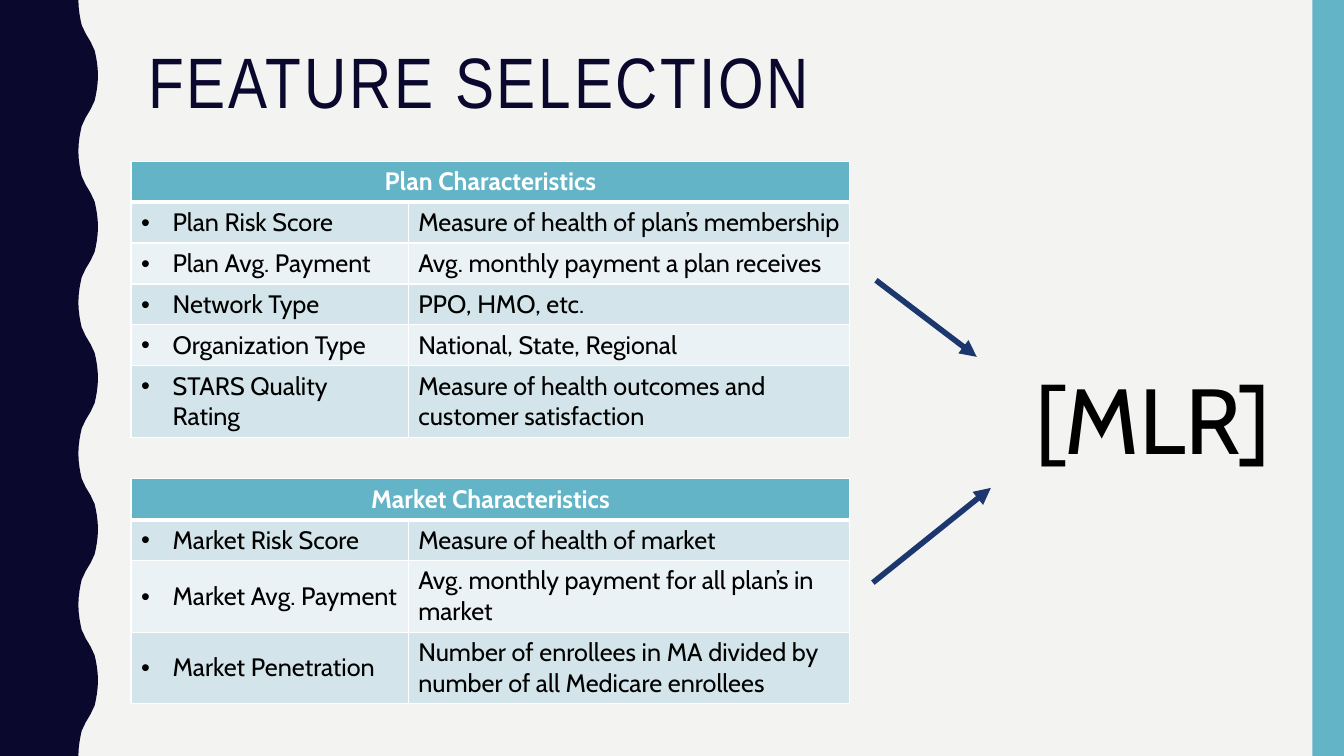
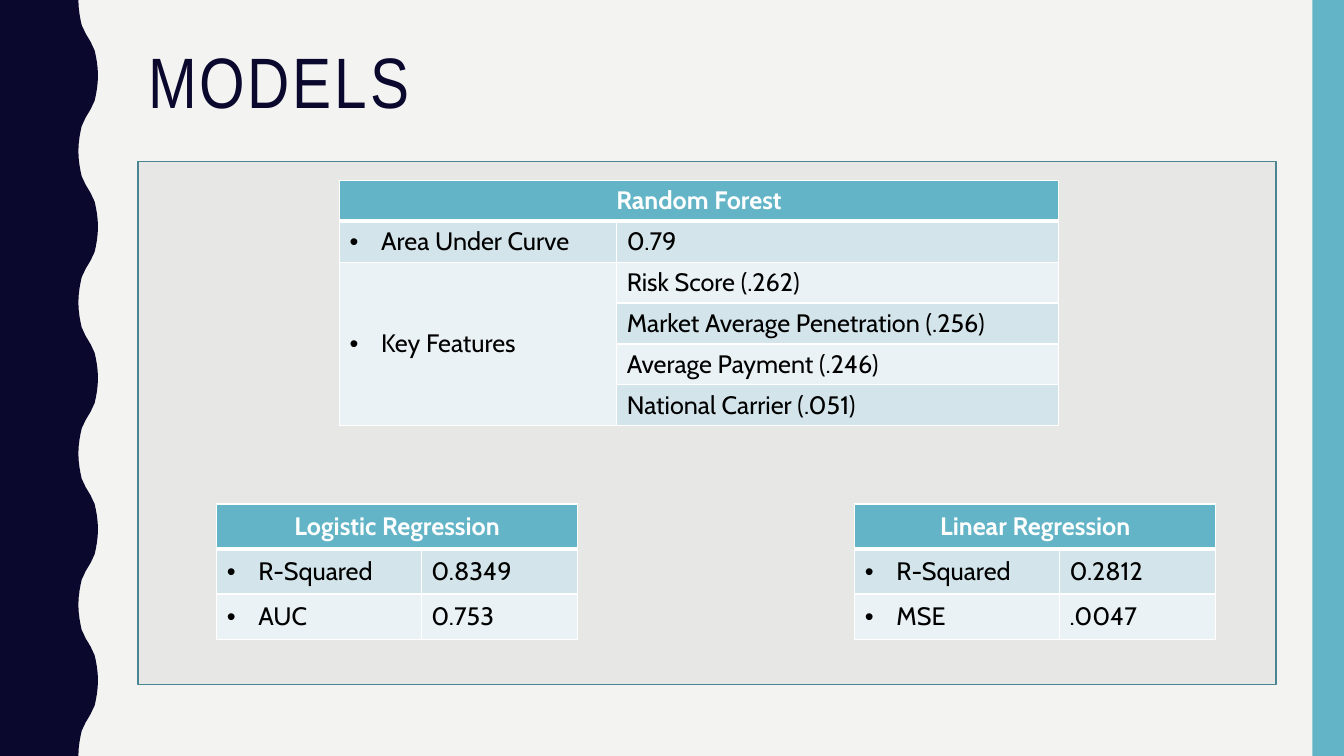
from dataclasses import dataclass

from lxml import etree
from pptx import Presentation
from pptx.dml.color import RGBColor
from pptx.enum.shapes import MSO_CONNECTOR, MSO_SHAPE
from pptx.enum.text import MSO_ANCHOR, MSO_AUTO_SIZE, PP_ALIGN
from pptx.oxml.ns import qn
from pptx.util import Pt


@dataclass(frozen=True)
class Theme:
    paper: RGBColor = RGBColor(0xF3, 0xF3, 0xF2)
    navy: RGBColor = RGBColor(0x0B, 0x08, 0x2E)
    teal: RGBColor = RGBColor(0x62, 0xB4, 0xC6)
    teal_edge: RGBColor = RGBColor(0x49, 0x85, 0x92)
    stripes: tuple = (RGBColor(0xD3, 0xE5, 0xEA), RGBColor(0xEA, 0xF2, 0xF5))
    panel: RGBColor = RGBColor(0xD9, 0xD9, 0xD9)
    arrow: RGBColor = RGBColor(0x1B, 0x37, 0x6E)
    white: RGBColor = RGBColor(0xFF, 0xFF, 0xFF)
    black: RGBColor = RGBColor(0, 0, 0)
    title_font: str = "Arial Narrow"
    body_font: str = "Cabin"
    title_size: float = 51
    body_size: float = 18
    target_size: float = 66


THEME = Theme()
WIDTH, HEIGHT = 960, 540

# Content: a row whose first cell is None continues the label above it
PLAN = ("Plan Characteristics", [
    ("Plan Risk Score", "Measure of health of plan’s membership"),
    ("Plan Avg. Payment", "Avg. monthly payment a plan receives"),
    ("Network Type", "PPO, HMO, etc."),
    ("Organization Type", "National, State, Regional"),
    ("STARS Quality Rating", "Measure of health outcomes and customer satisfaction"),
])
MARKET = ("Market Characteristics", [
    ("Market Risk Score", "Measure of health of market"),
    ("Market Avg. Payment", "Avg. monthly payment for all plan’s in market"),
    ("Market Penetration",
     "Number of enrollees in MA divided by number of all Medicare enrollees"),
])
FOREST = ("Random Forest", [
    ("Area Under Curve", "0.79"),
    ("Key Features", "Risk Score (.262)"),
    (None, "Market Average Penetration (.256)"),
    (None, "Average Payment (.246)"),
    (None, "National Carrier (.051)"),
])
LOGISTIC = ("Logistic Regression", [("R-Squared", "0.8349"), ("AUC", "0.753")])
LINEAR = ("Linear Regression", [("R-Squared", "0.2812"), ("MSE", ".0047")])

# Table sizes: column widths and row height
WIDE = ((198, 315.4), 29.2)
SMALL = ((146.2, 111.6), 32.2)

# Each table: content, size, left, top
FEATURE_TABLES = [(PLAN, WIDE, 93.6, 115.2), (MARKET, WIDE, 93.6, 342)]
MODEL_TABLES = [(FOREST, WIDE, 242.6, 128.9), (LOGISTIC, SMALL, 154.8, 360),
                (LINEAR, SMALL, 610.6, 360)]
TARGET = ("[MLR]", (707.8, 254.9, 231.8, 87.1))
ARROWS = [((625.7, 200.2), (697.7, 254.9)), ((623.5, 416.2), (707.8, 348.5))]
PANEL = (98.6, 115.2, 812.9, 373.7)
TITLE = (98.6, 30.2, 801.4, 117.4)

# Wave edge: first quarter of one period as (down, across)
WAVE_PERIOD, WAVE_MIDDLE = 108, 63
WAVE_QUARTER = [(0, 56), (5, 56.2), (10, 56.8), (14.4, 57.6), (18, 58.4),
                (21, 59.8), (24, 61.2), (27, 63)]


def points(*lengths):
    return [Pt(length) for length in lengths]


def style(para, size, color, font=THEME.body_font, bold=False):
    for span in para.runs:
        span.font.size, span.font.name, span.font.bold = Pt(size), font, bold
        span.font.color.rgb = color


def paint(shape, color, edge=None):
    shape.shadow.inherit = False
    shape.fill.solid()
    shape.fill.fore_color.rgb = color
    if edge is None:
        shape.line.fill.background()
    else:
        shape.line.color.rgb = edge
        shape.line.width = Pt(1)


def wave_edge():
    """Points down the wave, each period mirrored from its first quarter."""
    half = WAVE_QUARTER + [(WAVE_PERIOD / 2 - y, 2 * WAVE_MIDDLE - x)
                           for y, x in WAVE_QUARTER[-2::-1]]
    period = half + [(WAVE_PERIOD - y, x) for y, x in half[-2::-1]]
    return [(x, start + y) for start in range(0, HEIGHT, WAVE_PERIOD)
            for y, x in period]


def add_bands(page, layout):
    """Draw the side bands, then move them to the shared layout."""
    outline = page.shapes.build_freeform(0, 0, 1.0)
    corners = wave_edge() + [(0, HEIGHT)]
    outline.add_line_segments([points(x, y) for x, y in corners], close=True)
    wave = outline.convert_to_shape()
    paint(wave, THEME.navy)
    strip = page.shapes.add_shape(MSO_SHAPE.RECTANGLE,
                                  *points(937.4, 0, WIDTH - 937.4, HEIGHT))
    paint(strip, THEME.teal)
    for band in (strip, wave):
        layout.shapes.element.insert(2, band.element)


def add_page(deck, layout, title):
    page = deck.slides.add_slide(layout)
    box = page.shapes.title
    box.left, box.top, box.width, box.height = points(*TITLE)
    frame = box.text_frame
    frame.text = title
    frame.word_wrap = True
    frame.auto_size = MSO_AUTO_SIZE.NONE
    frame.vertical_anchor = MSO_ANCHOR.TOP
    para = frame.paragraphs[0]
    para.alignment, para.line_spacing = PP_ALIGN.LEFT, 0.9
    style(para, THEME.title_size, THEME.navy, THEME.title_font)
    for span in para.runs:
        span.font.element.set("spc", "200") if hasattr(span.font, "element") \
            else span._r.get_or_add_rPr().set("spc", "200")
    return page


def add_bullet(para):
    props = para._p.get_or_add_pPr()
    props.set("marL", str(Pt(22.5)))
    props.set("indent", str(-Pt(22.5)))
    etree.SubElement(props, qn("a:buFont")).set("typeface", "Arial")
    etree.SubElement(props, qn("a:buChar")).set("char", "•")


def set_borders(cell, **widths):
    props = cell._tc.get_or_add_tcPr()
    for side in "LRTB":
        line = etree.SubElement(props, qn(f"a:ln{side}"))
        line.set("w", str(Pt(widths.get(side, 1))))
        fill = etree.SubElement(line, qn("a:solidFill"))
        etree.SubElement(fill, qn("a:srgbClr")).set("val", str(THEME.white))


def fill_cell(cell, row, column, text):
    header = row == 0
    set_borders(cell, **({"B": 3} if header else {"T": 3} if row == 1 else {}))
    cell.fill.solid()
    cell.fill.fore_color.rgb = THEME.teal if header else THEME.stripes[(row - 1) % 2]
    cell.vertical_anchor = MSO_ANCHOR.MIDDLE
    if not text:
        return
    cell.text_frame.text = text
    para = cell.text_frame.paragraphs[0]
    if header:
        para.alignment = PP_ALIGN.CENTER
    elif column == 0:
        add_bullet(para)
    style(para, THEME.body_size, THEME.white if header else THEME.black, bold=header)


def add_grid(page, content, size, left, top):
    heading, body = content
    widths, row_height = size
    rows = [(heading, None)] + body
    frame = page.shapes.add_table(
        len(rows), len(widths),
        *points(left, top, sum(widths), row_height * len(rows)))
    table = frame.table
    for column, width in zip(table.columns, widths):
        column.width = Pt(width)
    for r, texts in enumerate(rows):
        table.rows[r].height = Pt(row_height)
        for c, text in enumerate(texts):
            fill_cell(table.cell(r, c), r, c, text)

    # Merge the heading across, and each label over its continued rows
    table.cell(0, 0).merge(table.cell(0, 1))
    starts = [r for r, texts in enumerate(rows) if texts[0]] + [len(rows)]
    for first, following in zip(starts, starts[1:]):
        if following - first > 1:
            table.cell(first, 0).merge(table.cell(following - 1, 0))


def add_arrow(page, start, end):
    arrow = page.shapes.add_connector(MSO_CONNECTOR.STRAIGHT, *points(*start, *end))
    arrow.line.color.rgb = THEME.arrow
    arrow.line.width = Pt(4)
    etree.SubElement(arrow.line._get_or_add_ln(), qn("a:tailEnd")).set("type", "triangle")
    etree.SubElement(arrow.element.spPr, qn("a:effectLst"))


def add_target(page, text, place):
    box = page.shapes.add_textbox(*points(*place))
    frame = box.text_frame
    frame.text = text
    frame.word_wrap = True
    para = frame.paragraphs[0]
    para.alignment = PP_ALIGN.CENTER
    style(para, THEME.target_size, THEME.black)


def add_panel(page):
    panel = page.shapes.add_shape(MSO_SHAPE.RECTANGLE, *points(*PANEL))
    paint(panel, THEME.panel, THEME.teal_edge)
    color = panel.element.spPr.find(qn("a:solidFill")).find(qn("a:srgbClr"))
    etree.SubElement(color, qn("a:alpha")).set("val", "45000")


def main():
    deck = Presentation()
    deck.slide_width, deck.slide_height = points(WIDTH, HEIGHT)
    layout = deck.slide_layouts.get_by_name("Title Only")
    background = deck.slide_master.background.fill
    background.solid()
    background.fore_color.rgb = THEME.paper

    # Feature selection
    features = add_page(deck, layout, "FEATURE SELECTION")
    add_bands(features, layout)
    for grid in FEATURE_TABLES:
        add_grid(features, *grid)
    add_target(features, *TARGET)
    for start, end in ARROWS:
        add_arrow(features, start, end)

    # Models
    models = add_page(deck, layout, "MODELS")
    add_panel(models)
    for grid in MODEL_TABLES:
        add_grid(models, *grid)

    deck.save("out.pptx")


if __name__ == "__main__":
    main()
